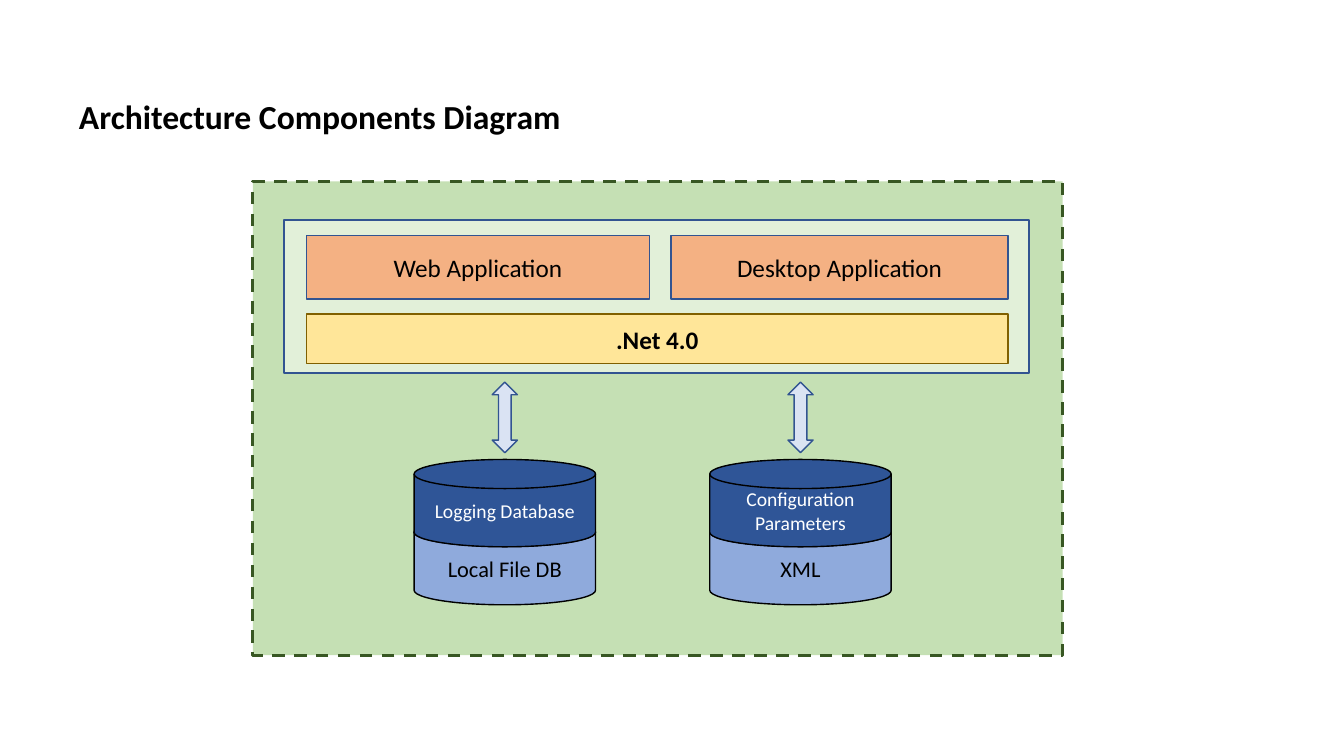
from pptx import Presentation
from pptx.dml.color import RGBColor
from pptx.enum.dml import MSO_LINE
from pptx.enum.shapes import MSO_SHAPE
from pptx.enum.text import MSO_ANCHOR, MSO_AUTO_SIZE, PP_ALIGN
from pptx.util import Inches, Pt

WIDE, HIGH = Inches(13.333), Inches(7.5)
COLS, ROWS = 16, 9
BLACK = RGBColor(0x00, 0x00, 0x00)
WHITE = RGBColor(0xFF, 0xFF, 0xFF)
GREEN = RGBColor(0xC5, 0xE0, 0xB4)
FOREST = RGBColor(0x38, 0x57, 0x23)
MINT = RGBColor(0xE2, 0xF0, 0xD9)
BLUE = RGBColor(0x32, 0x54, 0x91)
YELLOW = RGBColor(0xFF, 0xE6, 0x99)
BROWN = RGBColor(0x80, 0x60, 0x00)
ORANGE = RGBColor(0xF4, 0xB1, 0x83)
SKY = RGBColor(0x8F, 0xAA, 0xDC)
NAVY = RGBColor(0x2F, 0x55, 0x97)
PALE = RGBColor(0xDA, 0xE3, 0xF3)

STORES = [
    (6.01, "Logging Database", "Local File DB"),
    (9.53, "Configuration Parameters", "XML"),
]


def place(col, row, cols, rows):
    """Turn grid columns and rows into slide lengths."""
    return (int(WIDE * col / COLS), int(HIGH * row / ROWS),
            int(WIDE * cols / COLS), int(HIGH * rows / ROWS))


def write(shape, text, size=18, color=BLACK, bold=False,
          align=PP_ALIGN.CENTER, wrap=True):
    """Fill a shape with one formatted paragraph."""
    frame = shape.text_frame
    frame.auto_size = MSO_AUTO_SIZE.NONE
    frame.word_wrap = wrap
    frame.vertical_anchor = MSO_ANCHOR.MIDDLE
    para = frame.paragraphs[0]
    para.alignment = align
    run = para.add_run()
    run.text = text
    font = run.font
    font.name, font.size, font.bold = "Calibri", Pt(size), bold
    font.color.rgb = color


def draw(slide, kind, area, fill, line=BLUE, width=1, dash=None):
    """Add a filled and outlined preset shape on the grid."""
    shape = slide.shapes.add_shape(kind, *place(*area))
    shape.shadow.inherit = False
    shape.fill.solid()
    shape.fill.fore_color.rgb = fill
    shape.line.color.rgb = line
    shape.line.width = Pt(width)
    if dash:
        shape.line.dash_style = dash
    return shape


def box(slide, area, fill, text, line=BLUE, **style):
    """Add a labelled rectangle."""
    write(draw(slide, MSO_SHAPE.RECTANGLE, area, fill, line), text, **style)


def disk(slide, mid, row, fill, text, **style):
    """Add a labelled disk centred on a column."""
    area = (mid - 1.08, row, 2.16, 1.04)
    shape = draw(slide, MSO_SHAPE.FLOWCHART_MAGNETIC_DISK, area, fill, BLACK)
    write(shape, text, **style)


def store(slide, mid, use, tech):
    """Add a two-part data store with its arrow above."""
    disk(slide, mid, 6.16, SKY, tech, size=16)
    disk(slide, mid, 5.47, NAVY, use, size=14, color=WHITE)
    draw(slide, MSO_SHAPE.UP_DOWN_ARROW, (mid - 0.15, 4.55, 0.3, 0.84), PALE)


def head(slide, text):
    """Place and format the slide title."""
    title = slide.shapes.title
    title.left, title.top, title.width, title.height = place(
        0.82, 1.08, 6.12, 0.6)
    write(title, text, size=24, bold=True, align=PP_ALIGN.LEFT, wrap=False)


def main():
    """Build the architecture slide and save it."""
    deck = Presentation()
    deck.slide_width, deck.slide_height = WIDE, HIGH
    slide = deck.slides.add_slide(deck.slide_layouts[5])
    head(slide, "Architecture Components Diagram")
    draw(slide, MSO_SHAPE.RECTANGLE, (3.01, 2.16, 9.64, 5.64), GREEN,
         FOREST, 2.25, MSO_LINE.DASH)
    draw(slide, MSO_SHAPE.RECTANGLE, (3.38, 2.62, 8.87, 1.82), MINT)
    box(slide, (3.65, 3.74, 8.35, 0.59), YELLOW, ".Net 4.0", BROWN, bold=True)
    box(slide, (3.65, 2.8, 4.08, 0.76), ORANGE, "Web Application")
    box(slide, (7.99, 2.8, 4.01, 0.76), ORANGE, "Desktop Application")
    for mid, use, tech in STORES:
        store(slide, mid, use, tech)
    deck.save("out.pptx")


main()
